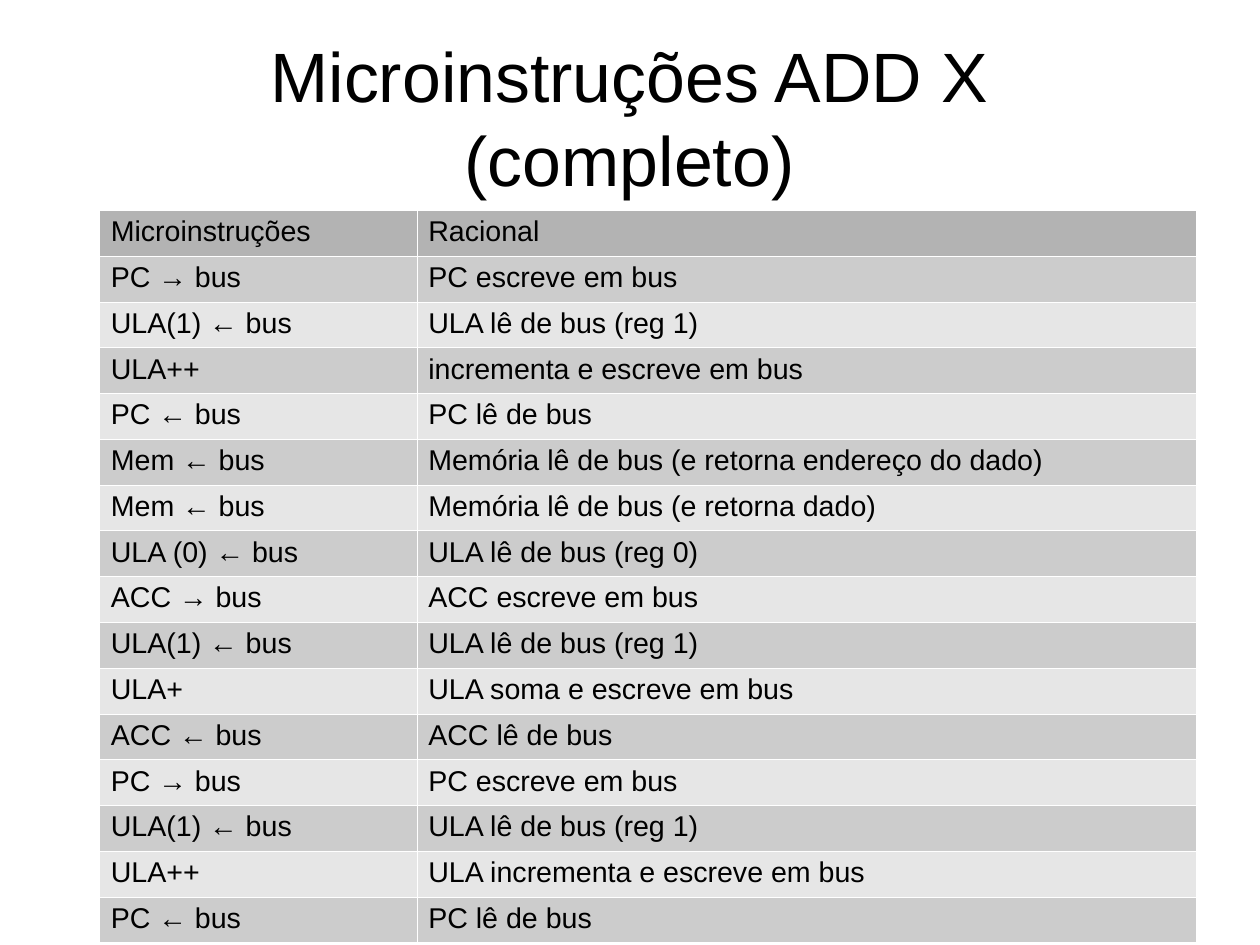
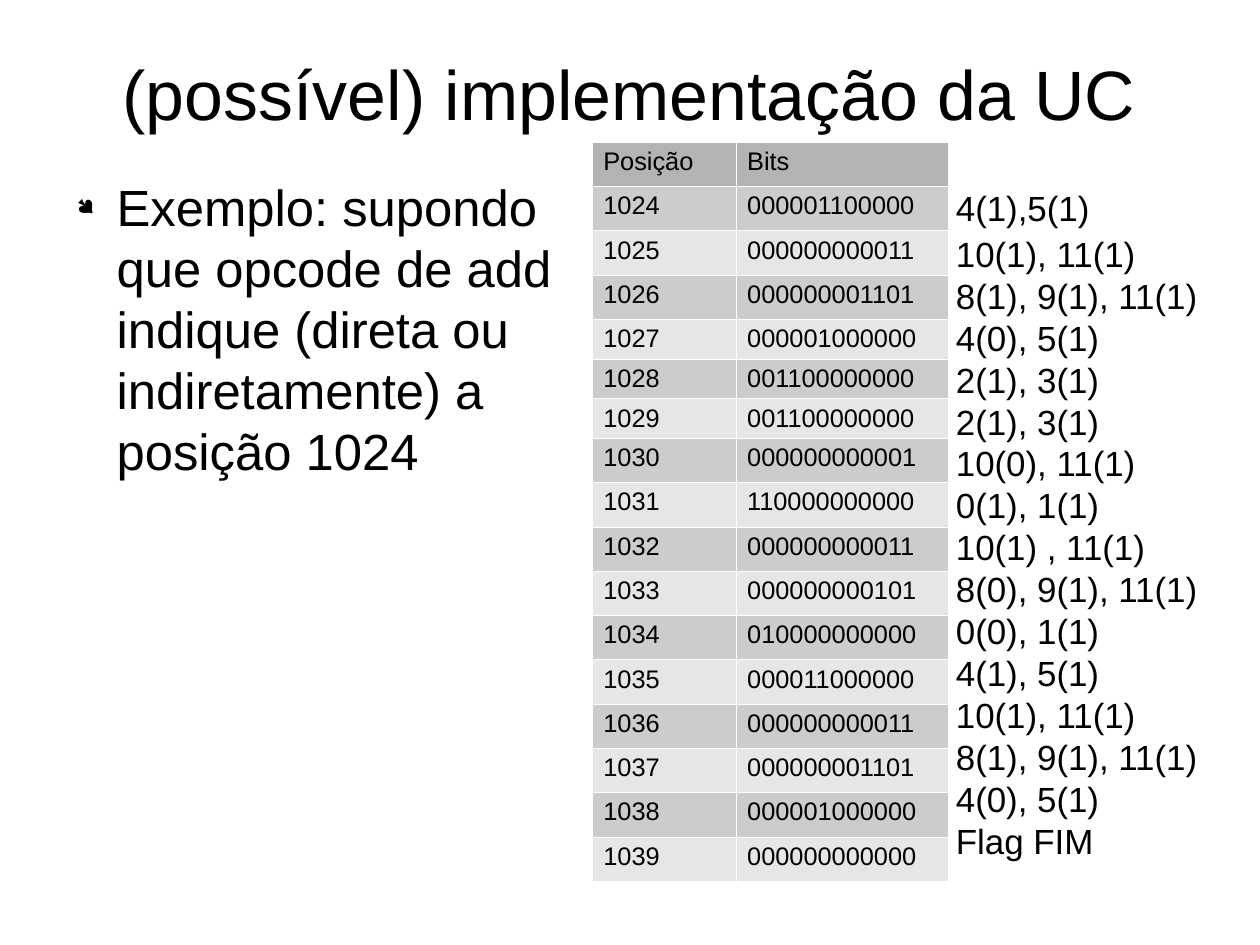
"""Two slides on the microinstructions of ADD X and a control unit that runs them."""
from dataclasses import dataclass
from typing import NamedTuple

from lxml import etree
from pptx import Presentation, util as u
from pptx.dml.color import RGBColor
from pptx.enum import text as t
from pptx.oxml import ns


@dataclass(frozen=True)
class Theme:
    font: str = "Arial"
    mark: str = "Wingdings"
    ink: str = "000000"
    head: str = "B3B3B3"
    odd: str = "CCCCCC"
    even: str = "E6E6E6"
    rule: str = "FFFFFF"
    title: float = 44
    body: float = 32
    note: float = 22
    wide: float = 18
    slim: float = 16


class Box(NamedTuple):
    left: float
    top: float
    width: float
    height: float

    def points(self) -> list:
        return [u.Pt(side) for side in self]


@dataclass(frozen=True)
class Grid:
    left: float
    top: float
    cols: tuple
    rows: list
    cells: list
    size: float


THEME = Theme()
TALL, SHORT = 27.9, 24.95

STEPS = [
    ("Microinstruções", "Racional"),
    ("PC → bus", "PC escreve em bus"),
    ("ULA(1) ← bus", "ULA lê de bus (reg 1)"),
    ("ULA++", "incrementa e escreve em bus"),
    ("PC ← bus", "PC lê de bus"),
    ("Mem ← bus", "Memória lê de bus (e retorna endereço do dado)"),
    ("Mem ← bus", "Memória lê de bus (e retorna dado)"),
    ("ULA (0) ← bus", "ULA lê de bus (reg 0)"),
    ("ACC → bus", "ACC escreve em bus"),
    ("ULA(1) ← bus", "ULA lê de bus (reg 1)"),
    ("ULA+", "ULA soma e escreve em bus"),
    ("ACC ← bus", "ACC lê de bus"),
    ("PC → bus", "PC escreve em bus"),
    ("ULA(1) ← bus", "ULA lê de bus (reg 1)"),
    ("ULA++", "ULA incrementa e escreve em bus"),
    ("PC ← bus", "PC lê de bus"),
]

BITS = [
    "000001100000", "000000000011", "000000001101", "000001000000",
    "001100000000", "001100000000", "000000000001", "110000000000",
    "000000000011", "000000000101", "010000000000", "000011000000",
    "000000000011", "000000001101", "000001000000", "000000000000",
]

NOTES = [
    "4(1),5(1)", "10(1), 11(1)", "8(1), 9(1), 11(1)", "4(0), 5(1)",
    "2(1), 3(1)", "2(1), 3(1)", "10(0), 11(1)", "0(1), 1(1)",
    "10(1) , 11(1)", "8(0), 9(1), 11(1)", "0(0), 1(1)", "4(1), 5(1)",
    "10(1), 11(1)", "8(1), 9(1), 11(1)", "4(0), 5(1)\nFlag FIM",
]


def write(para, words: str, size: float) -> None:
    for i, line in enumerate(words.split("\n")):
        if i:
            para.add_line_break()
        run = para.add_run()
        run.text = line
        run.font.size = u.Pt(size)
        run.font.name = THEME.font
        run.font.color.rgb = RGBColor.from_string(THEME.ink)


def inset(item, side: float, head: float, foot: float) -> None:
    item.margin_left = item.margin_right = u.Pt(side)
    item.margin_top, item.margin_bottom = u.Pt(head), u.Pt(foot)


def add_page(deck, title: str, top: float):
    page = deck.slides.add_slide(deck.slide_layouts[5])
    head = page.shapes.title
    head.left, head.top, head.width, head.height = Box(39.6, top, 714.24, 99.36).points()
    frame = head.text_frame
    frame.word_wrap = True
    frame.auto_size = t.MSO_AUTO_SIZE.SHAPE_TO_FIT_TEXT
    frame.vertical_anchor = t.MSO_ANCHOR.MIDDLE
    inset(frame, 0, 0, 0)
    para = frame.paragraphs[0]
    para.alignment = t.PP_ALIGN.CENTER
    write(para, title, THEME.title)
    return page


def add_text(page, box: Box, lines: list, size: float, side: float, end: float):
    frame = page.shapes.add_textbox(*box.points()).text_frame
    frame.word_wrap = True
    inset(frame, side, end, end)
    for i, line in enumerate(lines):
        para = frame.add_paragraph() if i else frame.paragraphs[0]
        write(para, line, size)
    return frame


def add_bullet(para) -> None:
    props = para._p.get_or_add_pPr()
    props.set("marL", str(u.Pt(33.84)))
    props.set("indent", str(u.Pt(-25.2)))
    color = etree.SubElement(props, ns.qn("a:buClr"))
    etree.SubElement(color, ns.qn("a:srgbClr"), val=THEME.ink)
    etree.SubElement(props, ns.qn("a:buSzPct"), val="45000")
    etree.SubElement(props, ns.qn("a:buFont"), typeface=THEME.mark, charset="2")
    etree.SubElement(props, ns.qn("a:buChar"), char="●")


def add_rules(cell) -> None:
    props = cell._tc.get_or_add_tcPr()
    for i, side in enumerate("LRTB"):
        line = etree.Element(ns.qn(f"a:ln{side}"), w=str(u.Pt(0.06)))
        fill = etree.SubElement(line, ns.qn("a:solidFill"))
        etree.SubElement(fill, ns.qn("a:srgbClr"), val=THEME.rule)
        props.insert(i, line)


def add_grid(page, grid: Grid) -> None:
    box = Box(grid.left, grid.top, sum(grid.cols), sum(grid.rows))
    table = page.shapes.add_table(len(grid.rows), len(grid.cols), *box.points()).table
    table.first_row = table.horz_banding = False
    for col, width in zip(table.columns, grid.cols):
        col.width = u.Pt(width)
    for r, (height, words) in enumerate(zip(grid.rows, grid.cells)):
        table.rows[r].height = u.Pt(height)
        shade = THEME.head if r == 0 else THEME.odd if r % 2 else THEME.even
        for c, word in enumerate(words):
            cell = table.cell(r, c)
            inset(cell, 7.2, 3.6, 2.2 if height == SHORT else 3.6)
            cell.fill.solid()
            cell.fill.fore_color.rgb = RGBColor.from_string(shade)
            add_rules(cell)
            write(cell.text_frame.paragraphs[0], word, grid.size)


def add_steps(deck) -> None:
    page = add_page(deck, "Microinstruções ADD X\n(completo)", 23.76)
    add_grid(page, Grid(62.64, 132.4, (200, 490.6), [28.85] * len(STEPS), STEPS, THEME.wide))


def add_unit(deck) -> None:
    page = add_page(deck, "(possível) implementação da UC", 8.64)
    words = "Exemplo: supondo que opcode de add indique (direta ou indiretamente) a posição 1024"
    body = add_text(page, Box(39.6, 110.88, 329.04, 223.2), [words], THEME.body, 0, 0)
    add_bullet(body.paragraphs[0])
    cells = [("Posição", "Bits")] + [(str(n), bits) for n, bits in enumerate(BITS, 1024)]
    rows = [SHORT if 4 <= r <= 6 else TALL for r in range(len(cells))]
    add_grid(page, Grid(372.9, 89.4, (90.6, 133.6), rows, cells, THEME.slim))
    notes = add_text(page, Box(595.1, 113.76, 181.44, 440.64), NOTES, THEME.note, 7.2, 3.6)
    notes.auto_size = t.MSO_AUTO_SIZE.SHAPE_TO_FIT_TEXT
    notes.paragraphs[0].space_after = u.Pt(2.8)


def main() -> None:
    deck = Presentation()
    deck.slide_width, deck.slide_height = u.Pt(793.75), u.Pt(595.25)
    add_steps(deck)
    add_unit(deck)
    deck.save("out.pptx")


if __name__ == "__main__":
    main()
